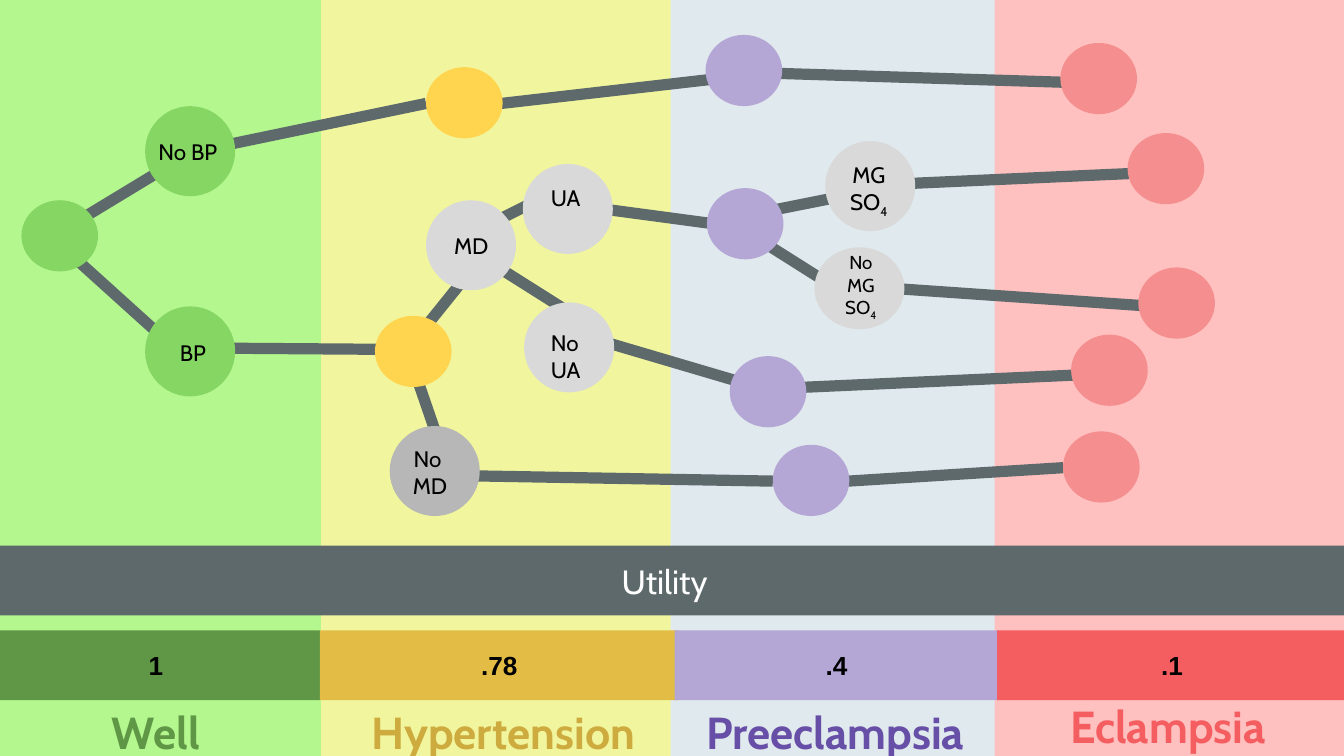
from lxml.etree import SubElement
from pptx import Presentation
from pptx.dml.color import RGBColor
from pptx.enum.shapes import MSO_CONNECTOR as Connector, MSO_SHAPE as Shape
from pptx.enum.text import MSO_ANCHOR as Anchor, PP_ALIGN as Align
from pptx.oxml.ns import qn
from pptx.util import Inches, Pt

BLACK = RGBColor(0x00, 0x00, 0x00)
WHITE = RGBColor(0xFF, 0xFF, 0xFF)
SLATE = RGBColor(0x5E, 0x69, 0x6C)
GREEN = RGBColor(0x86, 0xD6, 0x63)
DARK_GREEN = RGBColor(0x5F, 0x97, 0x46)
PALE_GREEN = RGBColor(0xB3, 0xF7, 0x8E)
YELLOW = RGBColor(0xFF, 0xD4, 0x4E)
GOLD = RGBColor(0xE2, 0xBC, 0x45)
DARK_GOLD = RGBColor(0xCE, 0xAB, 0x3E)
PALE_YELLOW = RGBColor(0xF1, 0xF6, 0x9E)
LILAC = RGBColor(0xB4, 0xA7, 0xD6)
PURPLE = RGBColor(0x67, 0x4E, 0xA7)
PALE_BLUE = RGBColor(0xE0, 0xE9, 0xED)
PINK = RGBColor(0xF5, 0x8F, 0x8F)
RED = RGBColor(0xF5, 0x5E, 0x61)
PALE_RED = RGBColor(0xFF, 0xC0, 0xC0)
LIGHT_GREY = RGBColor(0xD9, 0xD9, 0xD9)
GREY = RGBColor(0xB7, 0xB7, 0xB7)

SLIDE_WIDTH = 10
SLIDE_HEIGHT = SLIDE_WIDTH * 9 / 16
STATE_SIZE = (0.57, 0.53)
CHOICE_SIZE = (0.67, 0.67)
LOW_CHOICE_SIZE = (0.67, 0.61)
UTILITY_TOP, VALUE_TOP, BAR_HEIGHT = 4.06, 4.69, 0.52
NAME_HEIGHT = 0.67

BANDS = [
    ((-0.06, -0.03, 4.98, 5.69), PALE_GREEN),
    ((4.94, -0.03, 4.98, 5.69), PALE_BLUE),
    ((2.39, -0.05, 2.6, 5.72), PALE_YELLOW),
    ((7.4, -0.06, 2.6, 5.69), PALE_RED),
]
STAGE_NAMES = [
    ("Well", (-0.06, 5.14, 2.44, NAME_HEIGHT), DARK_GREEN),
    ("Hypertension", (2.41, 5.14, 2.67, NAME_HEIGHT), DARK_GOLD),
    ("Preeclampsia", (5.01, 5.14, 2.41, NAME_HEIGHT), PURPLE),
    ("Eclampsia", (7.4, 5.1, 2.58, NAME_HEIGHT), RED),
]
UTILITIES = [
    ("1", -0.06, 2.44, DARK_GREEN),
    (".78", 2.38, 2.67, GOLD),
    (".4", 5.02, 2.41, LILAC),
    (".1", 7.42, 2.6, RED),
]
BRANCHES = [
    (0.62, 1.62, 1.18, 1.28), (0.59, 1.95, 1.21, 2.51),
    (1.53, 2.59, 2.96, 2.6), (1.58, 1.1, 3.17, 0.77),
    (3.73, 0.77, 5.56, 0.56), (5.59, 0.54, 8.16, 0.62),
    (3.12, 2.49, 3.53, 1.98), (3.28, 3.33, 3.07, 2.72),
    (2.91, 3.53, 5.75, 3.58), (3.54, 1.72, 4, 1.49),
    (3.66, 1.96, 4.23, 2.32), (4, 1.49, 5.42, 1.68),
    (6.31, 3.58, 7.91, 3.48), (5.62, 1.59, 6.32, 1.45),
    (5.66, 1.79, 6.23, 2.15), (6.22, 1.39, 8.66, 1.28),
    (6.41, 2.13, 8.73, 2.29), (4.45, 2.53, 5.5, 2.84),
    (5.8, 2.89, 8.24, 2.78),
]
STATES = [
    (GREEN, [(0.16, 1.49)]),
    (YELLOW, [(3.17, 0.5), (2.79, 2.35)]),
    (LILAC, [(5.25, 0.26), (5.26, 1.4), (5.43, 2.65), (5.75, 3.31)]),
    (PINK, [(7.89, 0.32), (8.39, 0.99), (8.47, 1.99), (7.97, 2.49), (7.91, 3.21)]),
]
CHOICES = [
    (["No", "MG", "SO_4"], (6.06, 1.84), LOW_CHOICE_SIZE, LIGHT_GREY,
     (6.01, 1.77, 0.79, 0.53), 10, Align.CENTER),
    (["BP"], (1.08, 2.28), CHOICE_SIZE, GREEN, (1.24, 2.42, 0.57, 0.43), 12, Align.LEFT),
    (["No BP"], (1.08, 0.79), CHOICE_SIZE, GREEN, (1.08, 0.93, 0.73, 0.43), 12, Align.LEFT),
    (["No ", "MD"], (2.9, 3.17), CHOICE_SIZE, GREY, (2.77, 3.21, 0.86, 0.53), 12, Align.CENTER),
    (["MD"], (3.17, 1.49), CHOICE_SIZE, LIGHT_GREY, (3.28, 1.63, 0.62, 0.43), 12, Align.LEFT),
    (["MG", "SO_4"], (6.14, 1.05), CHOICE_SIZE, LIGHT_GREY, (6.07, 1.1, 0.79, 0.52), 12, Align.CENTER),
    (["No", "UA"], (3.9, 2.25), CHOICE_SIZE, LIGHT_GREY, (4, 2.35, 0.62, 0.47), 12, Align.LEFT),
    (["UA"], (3.89, 1.22), CHOICE_SIZE, LIGHT_GREY, (4, 1.27, 0.62, 0.43), 12, Align.LEFT),
]


def add_filled(slide, kind, box, color):
    shape = slide.shapes.add_shape(kind, *map(Inches, box))
    shape.shadow.inherit = False
    shape.fill.solid()
    shape.fill.fore_color.rgb = color
    shape.line.fill.background()
    return shape


def write(shape, lines, size, color=BLACK, font="Cabin", bold=False,
          align=Align.CENTER, anchor=Anchor.TOP):
    frame = shape.text_frame
    frame_format = {"word_wrap": True, "vertical_anchor": anchor}
    frame_format.update({f"margin_{side}": Inches(0.1) for side in ("left", "top", "right", "bottom")})
    for name, value in frame_format.items():
        setattr(frame, name, value)
    for index, line in enumerate(lines):
        paragraph = frame.add_paragraph() if index else frame.paragraphs[0]
        paragraph.alignment = align
        for position, text in enumerate(line.split("_")):
            run = paragraph.add_run()
            run.text = text
            for name, value in {"name": font, "size": Pt(size), "bold": bold}.items():
                setattr(run.font, name, value)
            run.font.color.rgb = color
            if position:
                run.font._element.set("baseline", "-25000")


def add_label(slide, box, lines, size, **text_format):
    write(slide.shapes.add_textbox(*map(Inches, box)), lines, size, **text_format)


def add_branch(slide, ends):
    connector = slide.shapes.add_connector(Connector.STRAIGHT, *map(Inches, ends))
    connector.line.color.rgb = SLATE
    connector.line.width = Pt(6)
    SubElement(connector._element.spPr, qn("a:effectLst"))


def main():
    presentation = Presentation()
    presentation.slide_width = Inches(SLIDE_WIDTH)
    presentation.slide_height = Inches(SLIDE_HEIGHT)
    slide = presentation.slides.add_slide(presentation.slide_layouts[6])

    for box, color in BANDS:
        add_filled(slide, Shape.RECTANGLE, box, color)
    for name, box, color in STAGE_NAMES:
        add_label(slide, box, [name], 24, color=color, bold=True)
    for ends in BRANCHES:
        add_branch(slide, ends)
    for color, corners in STATES:
        for corner in corners:
            add_filled(slide, Shape.OVAL, corner + STATE_SIZE, color)
    for lines, corner, size, color, label_box, font_size, align in CHOICES:
        add_filled(slide, Shape.OVAL, corner + size, color)
        add_label(slide, label_box, lines, font_size, align=align)
    for value, left, width, color in UTILITIES:
        bar = add_filled(slide, Shape.RECTANGLE, (left, VALUE_TOP, width, BAR_HEIGHT), color)
        write(bar, [value], 14, font="Arial", bold=True, anchor=Anchor.MIDDLE)
    utility = add_filled(slide, Shape.RECTANGLE, (-0.11, UTILITY_TOP, 10.11, BAR_HEIGHT), SLATE)
    write(utility, ["Utility"], 18, color=WHITE, anchor=Anchor.MIDDLE)

    presentation.save("out.pptx")


if __name__ == "__main__":
    main()
